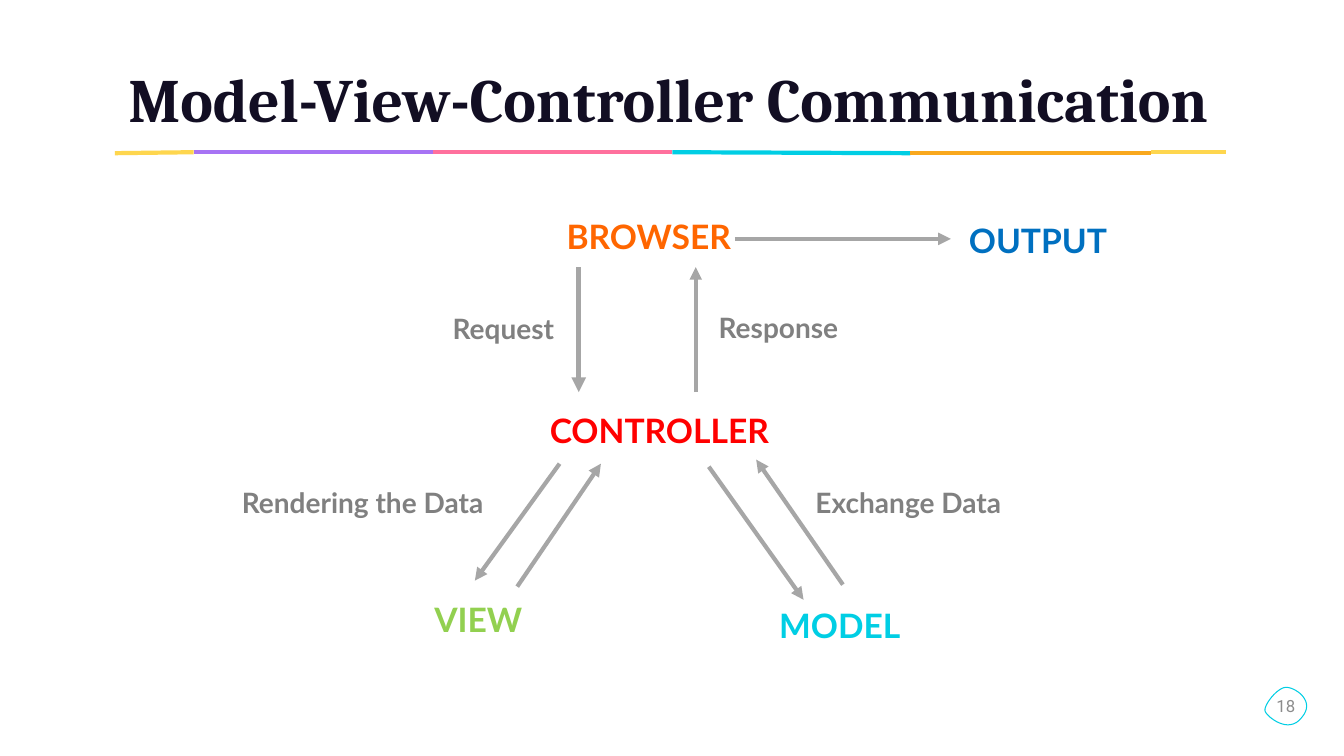
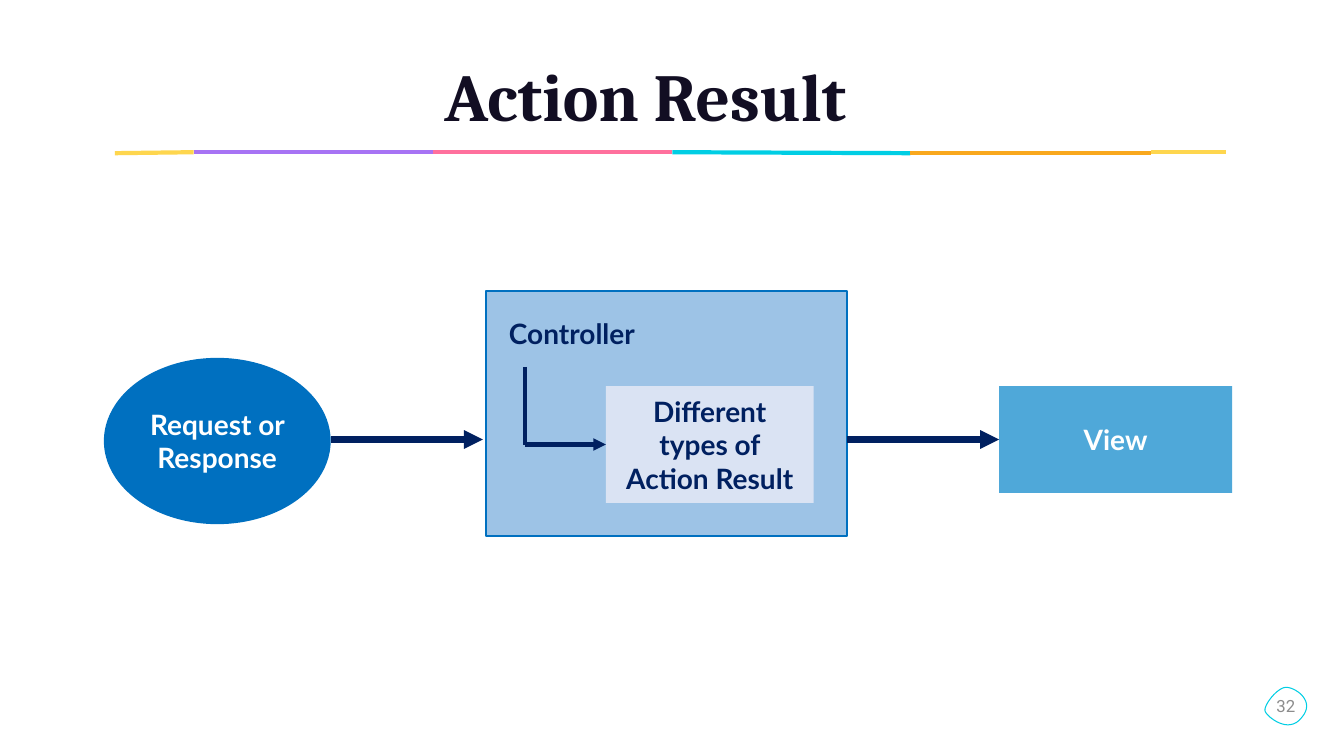
from dataclasses import dataclass
from typing import Optional

from lxml.etree import SubElement
from pptx import Presentation
from pptx.dml.color import RGBColor
from pptx.enum.shapes import MSO_CONNECTOR, MSO_SHAPE
from pptx.enum.text import MSO_ANCHOR, MSO_AUTO_SIZE, PP_ALIGN
from pptx.oxml.ns import qn
from pptx.shapes.autoshape import Shape
from pptx.shapes.connector import Connector
from pptx.slide import Slide
from pptx.util import Inches, Pt

# Colours
INK = RGBColor(0x12, 0x0E, 0x23)
WHITE = RGBColor(0xFF, 0xFF, 0xFF)
YELLOW = RGBColor(0xFE, 0xD6, 0x4E)
PURPLE = RGBColor(0xA7, 0x73, 0xF4)
PINK = RGBColor(0xFF, 0x70, 0x9D)
CYAN = RGBColor(0x00, 0xCE, 0xE4)
AMBER = RGBColor(0xF9, 0xA8, 0x1D)
ORANGE = RGBColor(0xFF, 0x66, 0x00)
RED = RGBColor(0xFF, 0x00, 0x00)
GREEN = RGBColor(0x92, 0xD0, 0x50)
BLUE = RGBColor(0x00, 0x70, 0xC0)
NAVY = RGBColor(0x00, 0x20, 0x60)
SKY = RGBColor(0x4F, 0xA8, 0xD9)
PALE = RGBColor(0x9D, 0xC3, 0xE6)
MIST = RGBColor(0xDA, 0xE3, 0xF3)
GREY = RGBColor(0x80, 0x80, 0x80)
SILVER = RGBColor(0xA6, 0xA6, 0xA6)
ASH = RGBColor(0x8C, 0x8C, 0x8C)

Point = tuple[float, float]


@dataclass
class Label:
    text: str
    left: float
    top: float
    width: float
    color: RGBColor
    size: int = 20
    align: PP_ALIGN = PP_ALIGN.LEFT


@dataclass
class Line:
    start: Point
    end: Point
    color: RGBColor
    width: float = 3
    arrow: bool = True


@dataclass
class Node:
    text: str
    left: float
    top: float
    width: float
    height: float
    fill: RGBColor
    color: RGBColor = WHITE
    form: MSO_SHAPE = MSO_SHAPE.RECTANGLE
    edge: Optional[RGBColor] = None
    inset: float = 0.1


# Rule under the title, as joined pieces
BAND = [
    Line((1.14, 1.52), (1.92, 1.51), YELLOW, arrow=False),
    Line((1.92, 1.51), (4.29, 1.51), PURPLE, arrow=False),
    Line((4.29, 1.51), (6.67, 1.51), PINK, arrow=False),
    Line((6.67, 1.51), (9.03, 1.52), CYAN, arrow=False),
    Line((9.03, 1.52), (11.42, 1.52), AMBER, arrow=False),
    Line((11.42, 1.51), (12.16, 1.51), YELLOW, arrow=False),
]

# Page badge: each curve has two handles and an end point
BADGE_START = (12.77, 6.82)
BADGE = [
    ((12.86, 6.83), (13.05, 6.96), (12.91, 7.12)),
    ((12.78, 7.29), (12.57, 7.11), (12.55, 7.06)),
    ((12.52, 7.01), (12.68, 6.80), BADGE_START),
]
STEPS = 16

# Parts of the first slide
MID = PP_ALIGN.CENTER
LABELS = [
    Label("BROWSER", 5.48, 2.09, 1.91, ORANGE, 24, MID),
    Label("CONTROLLER", 5.29, 4.02, 2.5, RED, 24, MID),
    Label("OUTPUT", 9.46, 2.13, 1.67, BLUE, 24, MID),
    Label("VIEW", 4.21, 5.89, 1.2, GREEN, 24),
    Label("MODEL", 7.63, 5.95, 1.6, CYAN, 24),
    Label("Request", 4.39, 3.04, 1.48, GREY),
    Label("Response", 7.03, 3.03, 1.7, GREY),
    Label("Rendering the Data", 2.3, 4.77, 3.18, GREY),
    Label("Exchange Data", 7.99, 4.77, 2.5, GREY),
]
FLOWS = [
    Line((7.29, 2.37), (9.43, 2.37), SILVER),
    Line((5.74, 2.65), (5.74, 3.89), SILVER, 3.5),
    Line((6.9, 3.89), (6.9, 2.65), SILVER),
    Line((5.55, 4.6), (4.71, 5.76), SILVER),
    Line((5.13, 5.82), (5.96, 4.6), SILVER),
    Line((7.03, 4.63), (7.97, 5.95), SILVER),
    Line((8.36, 5.8), (7.5, 4.56), SILVER),
]

# Parts of the second slide
SOURCE = Node("Request or Response", 1.03, 3.55, 2.25, 1.65, BLUE,
              form=MSO_SHAPE.OVAL)
FRAME = Node("", 4.82, 2.89, 3.58, 2.43, PALE, edge=BLUE)
TYPES = Node("Different types of Action Result", 6.01, 3.83, 2.06, 1.16,
             MIST, NAVY, inset=0.15)
VIEW = Node("View", 9.91, 3.83, 2.31, 1.06, SKY)


def write(shape: Shape, text: str, font: str, size: int, color: RGBColor,
          align: PP_ALIGN, bold: bool = True) -> None:
    para = shape.text_frame.paragraphs[0]
    para.alignment = align
    run = para.add_run()
    run.text = text
    run.font.name = font
    run.font.size = Pt(size)
    run.font.bold = bold
    run.font.color.rgb = color


def add_line(slide: Slide, line: Line) -> Connector:
    ends = [Inches(v) for v in (*line.start, *line.end)]
    link = slide.shapes.add_connector(MSO_CONNECTOR.STRAIGHT, *ends)
    link.line.color.rgb = line.color
    link.line.width = Pt(line.width)
    if line.arrow:
        SubElement(link.line._get_or_add_ln(), qn("a:tailEnd"), type="triangle")
    SubElement(link._element.spPr, qn("a:effectLst"))
    return link


def add_label(slide: Slide, label: Label) -> None:
    box = slide.shapes.add_textbox(Inches(label.left), Inches(label.top),
                                   Inches(label.width), Inches(0.5))
    box.text_frame.word_wrap = True
    write(box, label.text, "Lato", label.size, label.color, label.align)


def add_node(slide: Slide, node: Node) -> Shape:
    shape = slide.shapes.add_shape(
        node.form, Inches(node.left), Inches(node.top),
        Inches(node.width), Inches(node.height))
    shape.shadow.inherit = False
    shape.fill.solid()
    shape.fill.fore_color.rgb = node.fill
    if node.edge is None:
        shape.line.fill.background()
    else:
        shape.line.color.rgb = node.edge
        shape.line.width = Pt(1.5)
    if node.text:
        frame = shape.text_frame
        frame.word_wrap = True
        frame.vertical_anchor = MSO_ANCHOR.MIDDLE
        frame.margin_left = frame.margin_right = Inches(node.inset)
        write(shape, node.text, "Lato", 20, node.color, MID)
    return shape


def curve(a: Point, b: Point, c: Point, d: Point) -> list[Point]:
    """Points along a cubic curve, in EMU."""
    points = []
    for step in range(1, STEPS + 1):
        t = step / STEPS
        u = 1 - t
        x, y = (u**3 * a[i] + 3 * u * u * t * b[i] + 3 * u * t * t * c[i]
                + t**3 * d[i] for i in (0, 1))
        points.append((Inches(x), Inches(y)))
    return points


def add_badge(slide: Slide, page: int) -> None:
    pen = slide.shapes.build_freeform(*(Inches(v) for v in BADGE_START))
    last = BADGE_START
    for piece in BADGE:
        pen.add_line_segments(curve(last, *piece), close=False)
        last = piece[-1]
    pen.add_line_segments([], close=True)
    badge = pen.convert_to_shape()
    badge.shadow.inherit = False
    badge.fill.background()
    badge.line.color.rgb = CYAN
    badge.line.width = Pt(0.75)
    frame = badge.text_frame
    frame.margin_left = frame.margin_right = 0
    frame.margin_top = frame.margin_bottom = 0
    frame.vertical_anchor = MSO_ANCHOR.MIDDLE
    write(badge, str(page), "Roboto", 12, ASH, MID, bold=False)


def add_page(deck: Presentation, text: str, size: int, left: float,
             page: int) -> Slide:
    """A slide with the shared title, band and badge."""
    slide = deck.slides.add_slide(deck.slide_layouts[5])
    title = slide.shapes.title
    title.left, title.top = Inches(left), Inches(0.5)
    title.width, title.height = Inches(11.84), Inches(0.89)
    frame = title.text_frame
    frame.word_wrap = True
    frame.auto_size = MSO_AUTO_SIZE.NONE
    frame.vertical_anchor = MSO_ANCHOR.BOTTOM
    frame.paragraphs[0].line_spacing = 1.7
    write(title, text, "Cambria", size, INK, MID)
    for line in BAND:
        add_line(slide, line)
    add_badge(slide, page)
    return slide


def draw_flow(deck: Presentation) -> None:
    slide = add_page(deck, "Model-View-Controller Communication", 44, 0.71, 18)
    for label in LABELS:
        add_label(slide, label)
    for flow in FLOWS:
        add_line(slide, flow)


def draw_result(deck: Presentation) -> None:
    slide = add_page(deck, "Action Result", 48, 0.48, 32)
    add_node(slide, SOURCE)
    add_node(slide, FRAME)
    types = add_node(slide, TYPES)
    view = add_node(slide, VIEW)
    add_label(slide, Label("Controller", 4.95, 3.09, 1.7, NAVY))

    # Bent arrow inside the frame
    turn = (5.21, TYPES.top + TYPES.height / 2)
    add_line(slide, Line((5.21, 3.64), turn, NAVY, arrow=False))
    inner = add_line(slide, Line(turn, (TYPES.left, turn[1]), NAVY))
    inner.end_connect(types, 1)

    # Arrows between the main parts
    axis = VIEW.top + VIEW.height / 2
    add_line(slide, Line((SOURCE.left + SOURCE.width, axis), (4.79, axis),
                         NAVY, 4.5))
    out = add_line(slide, Line((FRAME.left + FRAME.width, axis),
                               (VIEW.left, axis), NAVY, 4.5))
    out.end_connect(view, 1)


def main() -> None:
    deck = Presentation()
    deck.slide_width, deck.slide_height = Inches(13.33), Inches(7.5)
    draw_flow(deck)
    draw_result(deck)
    deck.save("out.pptx")


if __name__ == "__main__":
    main()
